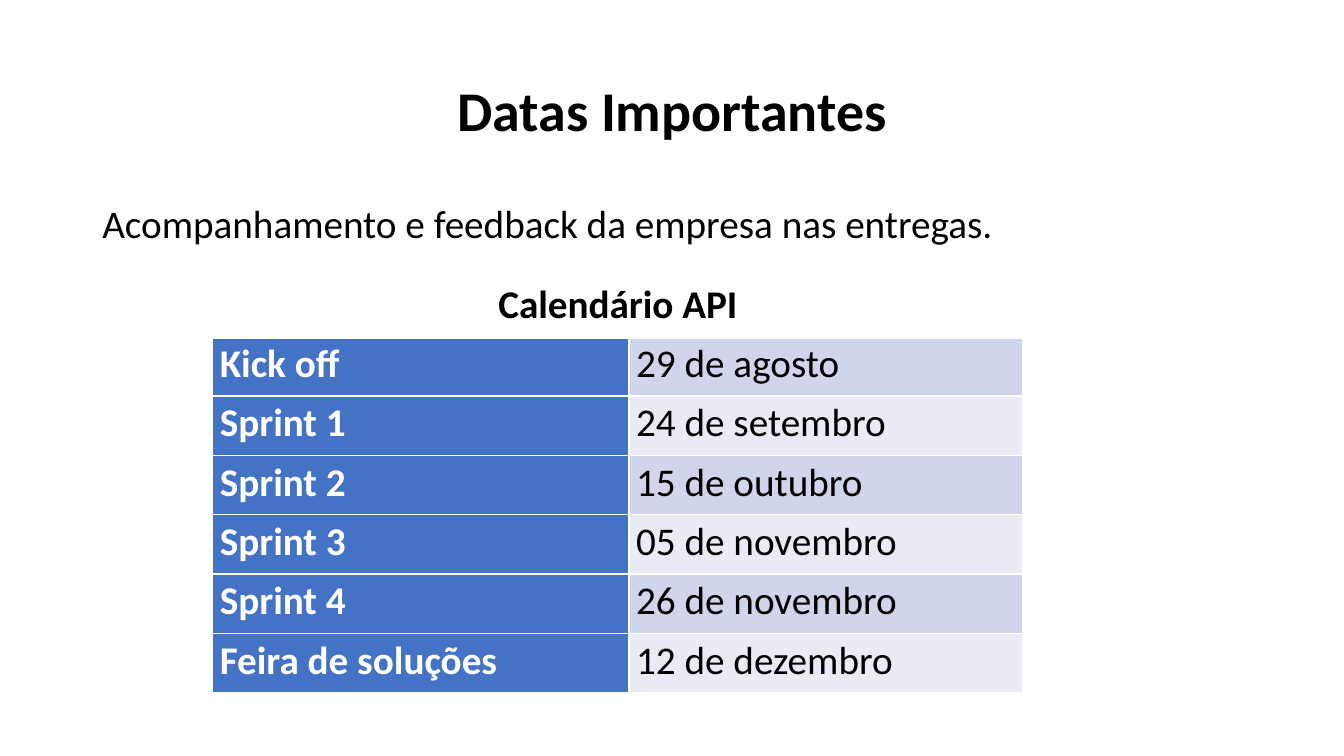
import pptx
import pptx.util
import pptx.dml.color
import pptx.enum.text
import pptx.oxml
import pptx.oxml.ns

Cm = pptx.util.Cm
Pt = pptx.util.Pt
RGB = pptx.dml.color.RGBColor
ALIGN = pptx.enum.text.PP_ALIGN
ANCHOR = pptx.enum.text.MSO_ANCHOR

BLACK = RGB(0x00, 0x00, 0x00)
WHITE = RGB(0xFF, 0xFF, 0xFF)
BLUE = RGB(0x44, 0x72, 0xC4)
BANDS = [RGB(0xCF, 0xD5, 0xEA), RGB(0xE9, 0xEB, 0xF5)]
FONT = "Calibri"

DATES = [
    ("Kick off", "29 de agosto"),
    ("Sprint 1", "24 de setembro"),
    ("Sprint 2", "15 de outubro"),
    ("Sprint 3", "05 de novembro"),
    ("Sprint 4", "26 de novembro"),
    ("Feira de soluções", "12 de dezembro"),
]


def write(frame, text, size, color, bold, align, gap):
    """Put one styled paragraph into a text frame."""
    para = frame.paragraphs[0]
    para.text = text
    para.alignment = align
    para.line_spacing = gap
    font = para.font
    font.name, font.size, font.bold = FONT, Pt(size), bold
    font.color.rgb = color


def add_text(slide, box, text, size, bold, align, anchor):
    """Add a wrapped text box filling the given box."""
    frame = slide.shapes.add_textbox(*box).text_frame
    frame.word_wrap = True
    frame.vertical_anchor = anchor
    write(frame, text, size, BLACK, bold, align, 0.9)


def add_edges(cell, base):
    """Draw white borders, with the given bottom width in points."""
    props = cell._tc.get_or_add_tcPr()
    for side, width in zip("LRTB", (1, 1, 1, base)):
        props.append(pptx.oxml.parse_xml(
            f'<a:ln{side} {pptx.oxml.ns.nsdecls("a")} w="{Pt(width)}">'
            f'<a:solidFill><a:srgbClr val="{WHITE}"/></a:solidFill>'
            f'</a:ln{side}>'))


def fill_cell(cell, text, color, fill=None, bold=True, align=ALIGN.LEFT, base=1):
    """Style one calendar cell and write its text."""
    cell.margin_left = cell.margin_right = Cm(0.18)
    cell.margin_top = cell.margin_bottom = 0
    add_edges(cell, base)
    if fill is None:
        cell.fill.background()
    else:
        cell.fill.solid()
        cell.fill.fore_color.rgb = fill
    write(cell.text_frame, text, 28, color, bold, align, 1.07)


def add_dates(slide, box):
    """Add the calendar table with a merged heading row."""
    left, top, width, height = box
    table = slide.shapes.add_table(len(DATES) + 1, 2, *box).table
    table.columns[0].width = Cm(10.49)
    table.columns[1].width = width - Cm(10.49)
    head = table.cell(0, 0)
    head.merge(table.cell(0, 1))
    fill_cell(head, "Calendário API", BLACK, align=ALIGN.CENTER, base=3)
    for row, (event, date) in enumerate(DATES, 1):
        fill_cell(table.cell(row, 0), event, WHITE, BLUE)
        fill_cell(table.cell(row, 1), date, BLACK, BANDS[(row - 1) % 2], False)


def main():
    """Build and save the slide."""
    deck = pptx.Presentation()
    deck.slide_width, deck.slide_height = Cm(33.87), Cm(19.05)
    slide = deck.slides.add_slide(deck.slide_layouts[6])
    add_text(slide, (Cm(2.33), Cm(1.02), Cm(29.21), Cm(3.68)),
             "Datas Importantes", 40, True, ALIGN.CENTER, ANCHOR.MIDDLE)
    add_text(slide, (Cm(2.33), Cm(5.03), Cm(29.21), Cm(12.09)),
             "Acompanhamento e feedback da empresa nas entregas.",
             28, False, ALIGN.LEFT, ANCHOR.TOP)
    add_dates(slide, (Cm(5.36), Cm(6.99), Cm(20.42), Cm(10.47)))
    deck.save("out.pptx")


main()
